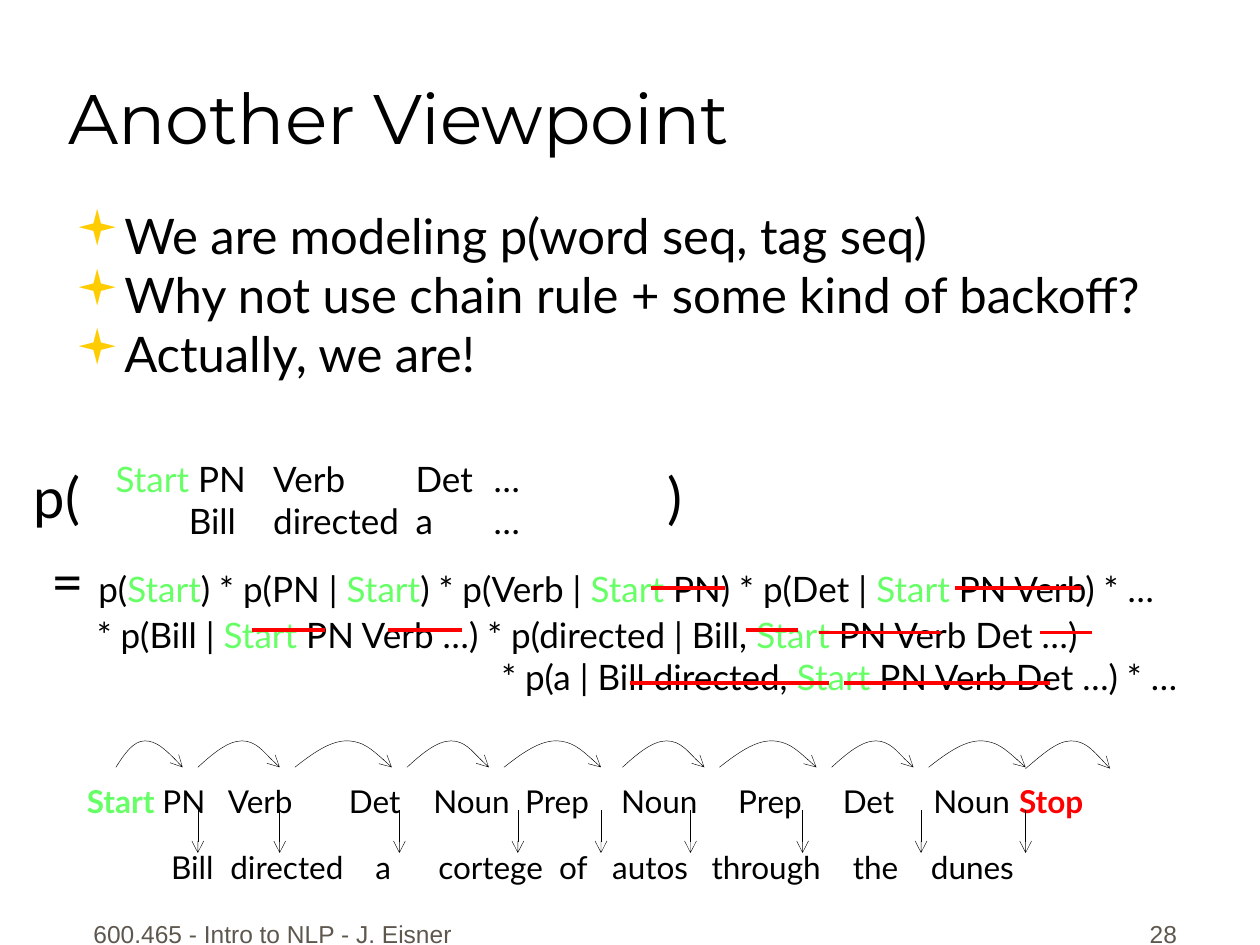
from lxml import etree
from pptx import Presentation
from pptx.dml.color import RGBColor
from pptx.enum.shapes import MSO_CONNECTOR
from pptx.enum.text import MSO_ANCHOR, PP_ALIGN
from pptx.oxml.ns import qn
from pptx.util import Inches, Pt

STRAIGHT = MSO_CONNECTOR.STRAIGHT
TOP, BOTTOM = MSO_ANCHOR.TOP, MSO_ANCHOR.BOTTOM
LEFT, CENTER, RIGHT = PP_ALIGN.LEFT, PP_ALIGN.CENTER, PP_ALIGN.RIGHT
COLORS = {"ink": "000000", "start": "66FF66", "stop": "FF0000",
          "bullet": "FFCC00", "footer": "5E574E"}
BODY_FONT, TITLE_FONT, FOOTER_FONT = "Lato", "Montserrat", "Arial"
BULLET_FONT = "Wingdings"
FIRST_ARC = [(0, 0.21), (0.07, 0.1), (0.14, 0), (0.23, 0),
             (0.32, 0), (0.43, 0.1), (0.53, 0.21)]
NARROW_ARC = [(0, 0.21), (0.12, 0.1), (0.24, 0), (0.35, 0),
              (0.46, 0), (0.6, 0.17), (0.65, 0.21)]
WIDE_ARC = [(0, 0.21), (0.14, 0.1), (0.28, 0), (0.41, 0),
            (0.54, 0), (0.65, 0.1), (0.77, 0.21)]
LAST_ARC = [(0, 0.22), (0.13, 0.11), (0.25, 0), (0.36, 0),
            (0.47, 0), (0.57, 0.11), (0.67, 0.22)]


class SlideWriter:
    """Adds consistently styled elements to the current slide."""

    def __init__(self, page):
        self.page = page

    def format_span(self, span, size, color="ink", font=BODY_FONT, bold=False):
        span.font.size = Pt(size)
        span.font.name = font
        span.font.bold = bold
        span.font.color.rgb = RGBColor.from_string(COLORS[color])

    def title(self, text, left, top, width, height):
        box = self.page.shapes.title
        box.left, box.top = Inches(left), Inches(top)
        box.width, box.height = Inches(width), Inches(height)
        frame = box.text_frame
        frame.text = text
        frame.vertical_anchor = BOTTOM
        frame.paragraphs[0].alignment = LEFT
        self.format_span(frame.paragraphs[0].runs[0], 40, font=TITLE_FONT)

    def text(self, lines, left, top, width, height, size, color="ink",
             font=BODY_FONT, align=LEFT, anchor=TOP, before=0):
        box = self.page.shapes.add_textbox(
            Inches(left), Inches(top), Inches(width), Inches(height))
        frame = box.text_frame
        frame.word_wrap = True
        frame.vertical_anchor = anchor
        frame.text = "\n".join(lines)
        for para in frame.paragraphs:
            para.alignment = align
            para.space_before = Pt(before)
            for span in para.runs:
                self.format_span(span, size, color, font)
        return frame.paragraphs

    def rich_text(self, lines, left, top, width, height, size):
        paras = self.text([""] * len(lines), left, top, width, height, size)
        for para, spans in zip(paras, lines):
            for text, style in spans:
                span = para.add_run()
                span.text = text
                self.format_span(span, **{"size": size, **style})
        return paras

    def bullets(self, lines, left, top, width, height):
        for para in self.text(lines, left, top, width, height, 28, before=7):
            para.line_spacing = 0.8
            props = para._p.get_or_add_pPr()
            props.set("marL", str(Inches(0.38)))
            props.set("indent", str(-Inches(0.38)))
            color = etree.SubElement(props, qn("a:buClr"))
            etree.SubElement(color, qn("a:srgbClr"), val=COLORS["bullet"])
            etree.SubElement(props, qn("a:buFont"), typeface=BULLET_FONT)
            etree.SubElement(props, qn("a:buChar"), char="▪")

    def tab_stops(self, para, stops):
        tabs = etree.SubElement(para._p.get_or_add_pPr(), qn("a:tabLst"))
        for stop in stops:
            etree.SubElement(tabs, qn("a:tab"), pos=str(Inches(stop)), algn="l")

    def indent(self, para, distance):
        para._p.get_or_add_pPr().set("marL", str(Inches(distance)))

    def arrowhead(self, shape):
        etree.SubElement(shape.line._get_or_add_ln(), qn("a:tailEnd"), type="arrow")

    def line(self, start, end, color, width, arrow=False):
        link = self.page.shapes.add_connector(
            STRAIGHT, *(Inches(value) for value in start + end))
        link.line.color.rgb = RGBColor.from_string(COLORS[color])
        link.line.width = Pt(width)
        if arrow:
            self.arrowhead(link)
        etree.SubElement(link._element.spPr, qn("a:effectLst"))

    def arc(self, left, outline, top=5.88):
        points = [(Inches(x), Inches(y)) for x, y in outline]
        start, peak, end = points[0], points[3], points[6]
        builder = self.page.shapes.build_freeform(*start)
        builder.add_line_segments([peak, end], close=False)
        curve = builder.convert_to_shape(Inches(left), Inches(top))
        segments = list(curve._element.iter(qn("a:lnTo")))
        for segment, controls in zip(segments, (points[1:4], points[4:7])):
            bezier = etree.Element(qn("a:cubicBezTo"))
            for x, y in controls:
                etree.SubElement(bezier, qn("a:pt"), x=str(x), y=str(y))
            segment.getparent().replace(segment, bezier)
        curve.shadow.inherit = False
        curve.fill.background()
        curve.line.color.rgb = RGBColor.from_string(COLORS["ink"])
        curve.line.width = Pt(0.25)
        self.arrowhead(curve)


def add_chain_rule(writer):
    start = ("Start", {"color": "start"})
    sequences = writer.rich_text(
        [[start, (" PN\tVerb\tDet\t…", {})], [("\tBill\tdirected\ta\t…", {})]],
        0.82, 3.58, 4.44, 1.1, 20)
    for para in sequences:
        writer.tab_stops(para, [0.58, 1.25, 2.38, 3])
    writer.text(["p("], 0.17, 3.62, 0.6, 0.64, 32)
    writer.text([")"], 5.2, 3.62, 0.33, 0.64, 32)

    factors = writer.rich_text([
        [("= ", {"size": 32}), ("p(", {}), start, (") * p(PN | ", {}), start,
         (") * p(Verb | ", {}), start, (" PN) * p(Det | ", {}), start,
         (" PN Verb) * …", {})],
        [("* p(Bill | ", {}), start, (" PN Verb …) * p(directed | Bill, ", {}),
         start, (" PN Verb Det …)", {})],
        [("* p(a | Bill directed, ", {}), start, (" PN Verb Det …) * …", {})],
    ], 0.31, 4.29, 9.69, 1.64, 20)
    writer.indent(factors[1], 0.36)
    writer.indent(factors[2], 3.57)

    strikes = {4.67: [(5.17, 5.75), (7.58, 8.58)],
               5: [(2, 2.58), (3.08, 3.67), (5.92, 6.33)],
               5.02: [(6.5, 7.47), (8.25, 8.67)],
               5.42: [(5, 6.58), (6.7, 8.33)]}
    for y, spans in strikes.items():
        for left, right in spans:
            writer.line((left, y), (right, y), "stop", 2.25)


def add_tag_sequence(writer):
    tags = "\tPN\tVerb\tDet\tNoun\tPrep\tNoun\tPrep\tDet\tNoun\t"
    tag_row = writer.rich_text(
        [[("Start", {"color": "start", "bold": True}), (tags, {}),
          ("Stop", {"color": "stop", "bold": True})]],
        0.59, 6.16, 8.55, 0.4, 18)
    writer.tab_stops(tag_row[0], [0.6, 1.12, 2.08, 2.75, 3.48, 4.24, 5.17, 6, 6.72, 7.4])
    word_row = writer.text(
        ["Bill\tdirected\ta\tcortege\tof\tautos\tthrough\tthe\tdunes"],
        1.26, 6.68, 7.35, 0.4, 18)
    writer.tab_stops(word_row[0], [0.47, 1.62, 2.12, 3.08, 3.5, 4.29, 5.41, 6.03])

    writer.arc(0.92, FIRST_ARC)
    for left in (1.57, 3.23, 4.94, 6.6):
        writer.arc(left, NARROW_ARC)
        writer.arc(left + 0.77, WIDE_ARC)
    writer.arc(8.14, LAST_ARC)
    for x in (1.57, 2.22, 3.17, 4.11, 4.77, 5.48, 6.37, 7.31, 8.14):
        writer.line((x, 6.43), (x, 6.77), "ink", 0.25, arrow=True)


def main():
    deck = Presentation()
    deck.slide_width, deck.slide_height = Inches(10), Inches(7.5)
    writer = SlideWriter(deck.slides.add_slide(deck.slide_layouts[5]))
    footer = {"size": 14, "color": "footer", "font": FOOTER_FONT,
              "anchor": BOTTOM, "before": 8.8}
    writer.text(["600.465 - Intro to NLP - J. Eisner"], 0.58, 7.08, 3.17, 0.5,
                align=CENTER, **footer)
    writer.text(["28"], 7.36, 7.08, 2.08, 0.5, align=RIGHT, **footer)
    writer.title("Another Viewpoint", 0.44, 0.06, 8.5, 1.25)
    writer.bullets(["We are modeling p(word seq, tag seq)",
                    "Why not use chain rule + some kind of backoff?",
                    "Actually, we are!"], 0.5, 1.67, 9.25, 1.5)
    add_chain_rule(writer)
    add_tag_sequence(writer)
    deck.save("out.pptx")


if __name__ == "__main__":
    main()
